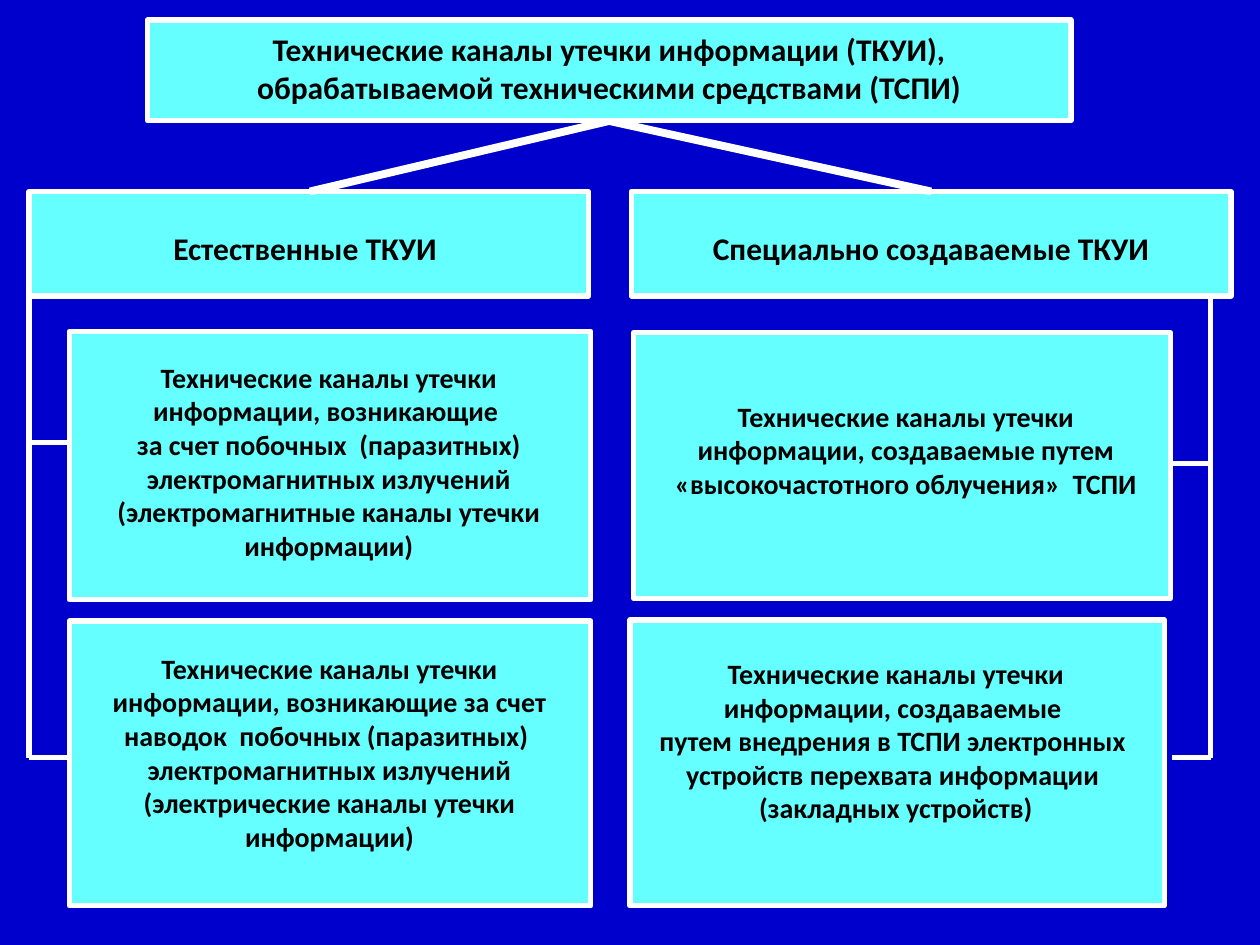
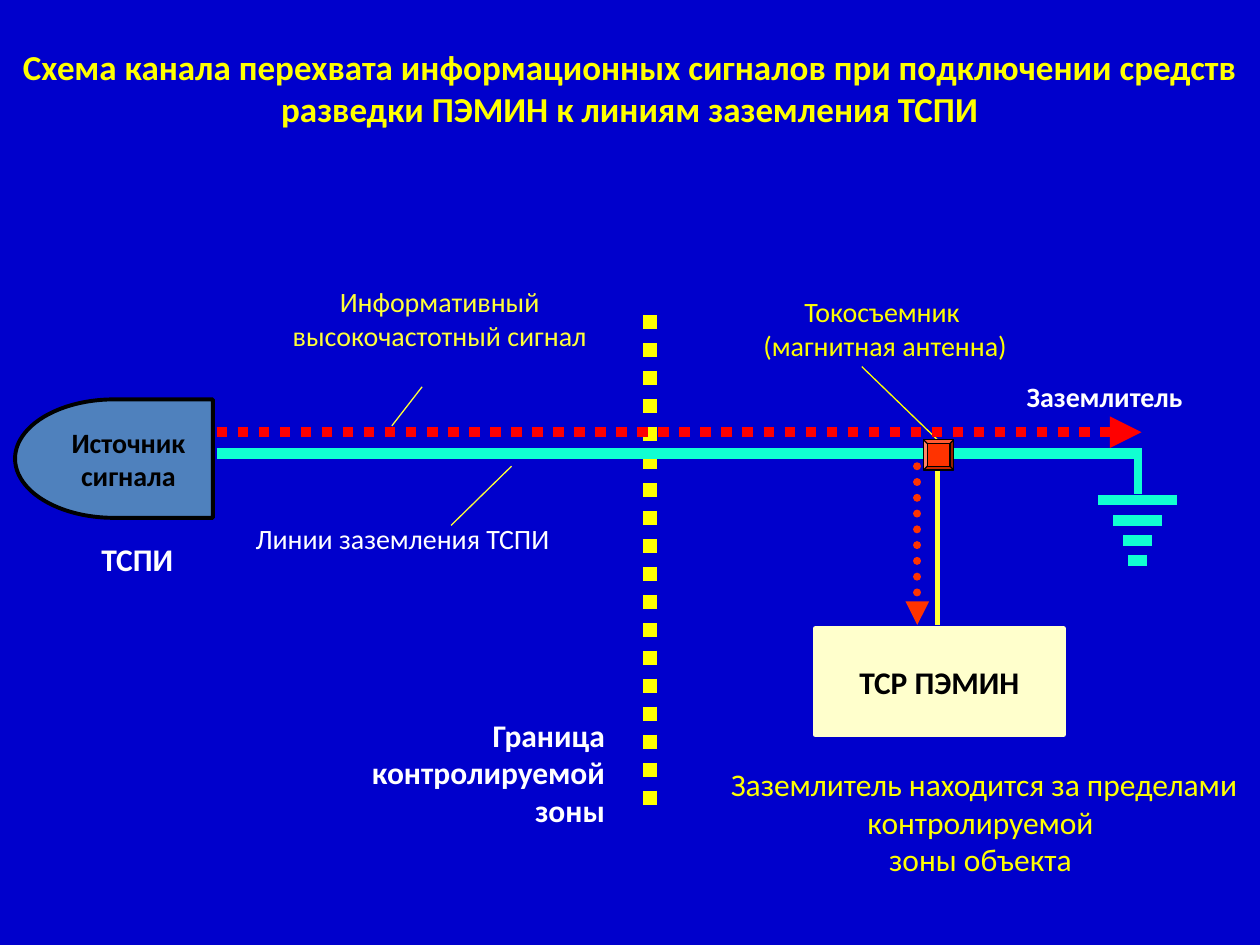
"""Builds two slides on technical channels of information leakage."""
from lxml import etree
from pptx import Presentation
from pptx import util as u
from pptx.dml.color import RGBColor
from pptx.enum import dml, shapes, text
from pptx.oxml.ns import qn

WIDTH, HEIGHT = 10, 7.5
FONT = "Calibri"
COLORS = {
    "back": "0000CC", "cyan": "66FFFF", "white": "FFFFFF", "black": "000000",
    "yellow": "FFFF00", "lemon": "FFFF37", "cream": "FFFFCC", "steel": "4F81BD",
    "red": "FF0000", "orange": "FF3300", "ground": "11FFD2",
}
ALIGN = {"l": text.PP_ALIGN.LEFT, "c": text.PP_ALIGN.CENTER, "r": text.PP_ALIGN.RIGHT}
SHAPE = shapes.MSO_SHAPE
MARGINS = (0.1, 0.05, 0.1, 0.05)

ROOT = ((1.17, 0.16, 7.33, 0.8), 18, (0.29, 0.08, 0.29, 0),
        "Технические каналы утечки информации (ТКУИ), обрабатываемой техническими средствами (ТСПИ)")
BRANCHES = [
    {"spine": 0.23, "stub_end": 0.55, "stubs": (3.51, 6.01), "join": 2.46, "boxes": [
        ((0.23, 1.52, 4.44, 0.83), 18, (0, 0.3, 0, 0), "Естественные ТКУИ "),
        ((0.55, 2.63, 4.14, 2.13), 16, (0.17, 0.23, 0.19, 0),
         "Технические каналы утечки информации, возникающие \n"
         "за счет побочных  (паразитных) электромагнитных излучений "
         "(электромагнитные каналы утечки информации)"),
        ((0.55, 4.93, 4.14, 2.26), 16, (0.25, 0.24, 0.26, 0),
         "Технические каналы утечки информации, возникающие за счет наводок  побочных "
         "(паразитных)  электромагнитных излучений (электрические каналы утечки информации)"),
    ]},
    {"spine": 9.61, "stub_end": 9.3, "stubs": (3.68, 6.01), "join": 7.39, "boxes": [
        ((5.01, 1.52, 4.76, 0.83), 18, (0, 0.3, 0, 0), "Специально создаваемые ТКУИ"),
        ((5.03, 2.64, 4.26, 2.11), 16, (0.23, 0.53, 0.17, 0),
         "Технические каналы утечки информации, создаваемые путем "
         "«высокочастотного облучения»  ТСПИ"),
        ((5, 4.92, 4.24, 2.27), 16, (0.18, 0.29, 0.2, 0),
         "Технические каналы утечки информации, создаваемые \n"
         "путем внедрения в ТСПИ электронных  устройств перехвата информации \n"
         "(закладных устройств)"),
    ]},
]

TITLE = ("Схема канала перехвата информационных сигналов при подключении средств "
         "разведки ПЭМИН к линиям заземления ТСПИ")
LABELS = [
    ((2.58, 5.63, 2.32, 1), "Граница контролируемой зоны", 18, "white", True, "r"),
    ((2.11, 2.21, 2.76, 0.91), "Информативный высокочастотный сигнал", 16, "lemon", False, "c"),
    ((1.93, 4.09, 3.52, 0.37), "Линии заземления ТСПИ", 16, "white", False, "l"),
    ((5.62, 2.29, 2.81, 0.64), "Токосъемник \n(магнитная антенна)", 16, "yellow", False, "c"),
    ((8.05, 2.96, 1.72, 0.37), "Заземлитель", 16, "white", True, "l"),
    ((0.62, 4.24, 0.94, 0.33), "ТСПИ", 18, "white", True, "c"),
    ((5.62, 6.02, 4.38, 1.01),
     "Заземлитель находится за пределами контролируемой \nзоны объекта ", 18, "yellow", False, "c"),
]
LEADERS = [((4.06, 3.7), (3.58, 4.17), "lemon"), ((3.35, 3.07), (3.11, 3.38), "lemon"),
           ((6.84, 2.91), (7.44, 3.49), "yellow")]
GROUND_BARS = {"center": 9.03, "top": 3.97, "step": 0.16, "widths": (0.63, 0.39, 0.23, 0.15)}


def color(name):
    return RGBColor.from_string(COLORS[name])


def add_page(deck):
    page = deck.slides.add_slide(deck.slide_layouts[6])
    page.background.fill.solid()
    page.background.fill.fore_color.rgb = color("back")
    return page


def write(box, words, size, ink="black", bold=True, align="c", margins=MARGINS, middle=False):
    frame = box.text_frame
    frame.word_wrap = True
    frame.vertical_anchor = text.MSO_ANCHOR.MIDDLE if middle else text.MSO_ANCHOR.TOP
    (frame.margin_left, frame.margin_top,
     frame.margin_right, frame.margin_bottom) = map(u.Inches, margins)
    frame.text = words
    for para in frame.paragraphs:
        para.alignment = ALIGN[align]
        for span in para.runs:
            span.font.name, span.font.size, span.font.bold = FONT, u.Pt(size), bold
            span.font.color.rgb = color(ink)


def add_label(page, area, words, size, ink, bold, align, **options):
    box = page.shapes.add_textbox(*map(u.Inches, area))
    write(box, words, size, ink, bold, align, **options)


def add_block(page, kind, area, fill, edge, weight):
    block = page.shapes.add_shape(kind, *map(u.Inches, area))
    block.shadow.inherit = False
    block.fill.solid()
    block.fill.fore_color.rgb = color(fill)
    block.line.color.rgb = color(edge)
    block.line.width = u.Pt(weight)
    return block


def add_line(page, start, end, ink, weight, dotted=False, arrow=False, rounded=False):
    line = page.shapes.add_connector(shapes.MSO_CONNECTOR.STRAIGHT, *map(u.Inches, start + end))
    line.line.color.rgb = color(ink)
    line.line.width = u.Pt(weight)
    if dotted:
        line.line.dash_style = dml.MSO_LINE.ROUND_DOT
    properties = line.element.spPr
    outline = properties.find(qn("a:ln"))
    if rounded:
        outline.set("cap", "rnd")
    if arrow:
        etree.SubElement(outline, qn("a:tailEnd"), type="triangle")
    etree.SubElement(properties, qn("a:effectLst"))


def add_tree_box(page, area, size, margins, words):
    box = add_block(page, SHAPE.RECTANGLE, area, "cyan", "white", 3)
    write(box, words, size, margins=margins)


def build_tree(deck):
    page = add_page(deck)
    left, top, width, height = ROOT[0]
    for branch in BRANCHES:
        for box in branch["boxes"]:
            add_tree_box(page, *box)
        _, head_top, _, head_height = branch["boxes"][0][0]
        spine = branch["spine"]
        add_line(page, (spine, 6.02), (spine, head_top + head_height), "white", 3)
        for level in branch["stubs"]:
            add_line(page, (spine, level), (branch["stub_end"], level), "white", 3)
        add_line(page, (left + width / 2, top + height), (branch["join"], head_top), "white", 4.5)
    add_tree_box(page, *ROOT)


def build_scheme(deck):
    page = add_page(deck)
    add_line(page, (5.16, 2.5), (5.16, 6.44), "yellow", 8, dotted=True)
    source = add_block(page, SHAPE.FLOWCHART_DELAY, (0.12, 3.17, 1.57, 0.94), "steel", "black", 2.25)
    source.element.spPr.find(qn("a:xfrm")).set("flipH", "1")
    write(source, "Источник\nсигнала", 16, middle=True)
    add_label(page, (0, 0.31, WIDTH, 0.72), TITLE, 20, "yellow", True, "c",
              margins=(0.1, 0.05, 0.1, 0), middle=True)
    for label in LABELS:
        add_label(page, *label)
    for start, end, ink in LEADERS:
        add_line(page, start, end, ink, 0.75)

    center = GROUND_BARS["center"]
    for row, width in enumerate(GROUND_BARS["widths"]):
        level = GROUND_BARS["top"] + row * GROUND_BARS["step"]
        add_line(page, (center - width / 2, level), (center + width / 2, level), "ground", 6)
    add_line(page, (center, 3.61), (center, 3.92), "ground", 4.5)
    add_line(page, (1.72, 3.43), (9.06, 3.43), "red", 6, dotted=True, arrow=True)
    add_line(page, (1.72, 3.6), (9.06, 3.6), "ground", 6)

    add_line(page, (7.28, 3.7), (7.28, 4.96), "orange", 4.5, dotted=True, arrow=True, rounded=True)
    receiver = add_block(page, SHAPE.RECTANGLE, (6.47, 4.99, 1.97, 0.84), "cream", "cream", 3)
    write(receiver, "ТСР ПЭМИН", 18, middle=True)
    add_line(page, (7.44, 3.7), (7.44, 4.96), "lemon", 3)
    add_block(page, SHAPE.BEVEL, (7.33, 3.49, 0.24, 0.24), "orange", "black", 0.75)


def main():
    deck = Presentation()
    deck.slide_width, deck.slide_height = u.Inches(WIDTH), u.Inches(HEIGHT)
    build_tree(deck)
    build_scheme(deck)
    deck.save("out.pptx")


if __name__ == "__main__":
    main()
